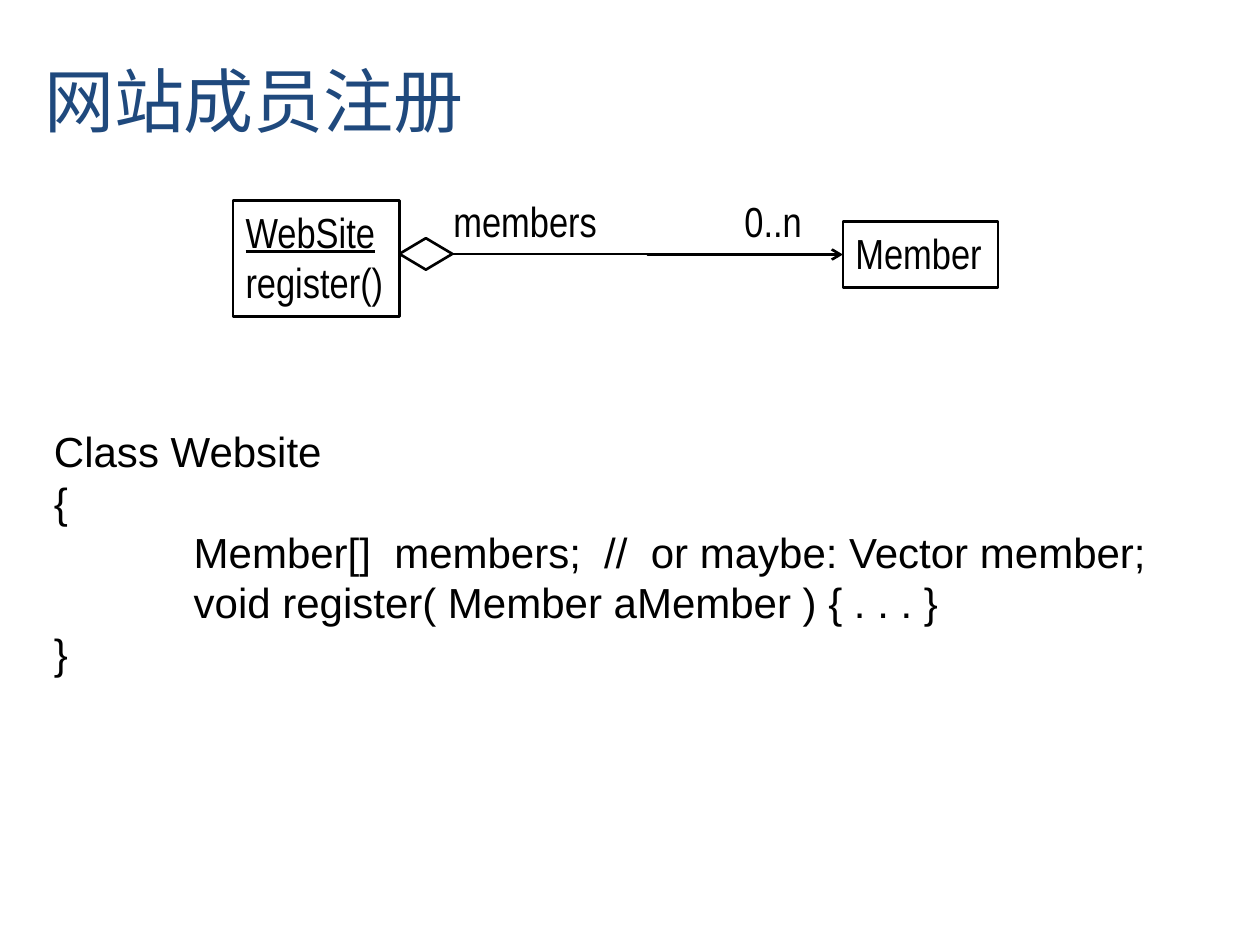
from lxml import etree
from pptx import Presentation
from pptx.dml.color import RGBColor
from pptx.enum.shapes import MSO_CONNECTOR, MSO_SHAPE
from pptx.enum.text import MSO_ANCHOR, PP_ALIGN
from pptx.oxml.ns import qn
from pptx.util import Inches, Pt

RECT = MSO_SHAPE.RECTANGLE
DIAMOND = MSO_SHAPE.FLOWCHART_DECISION
ELBOW = MSO_CONNECTOR.ELBOW
TOP, BOTTOM = MSO_ANCHOR.TOP, MSO_ANCHOR.BOTTOM
LEFT = PP_ALIGN.LEFT
BLACK, NAVY = "000000", "1F497D"
NARROW, SANS = "Arial Narrow", "Arial"


def color(value):
    return RGBColor.from_string(value)


def add_run(p, text, size=24, font=SANS, fill=BLACK, underline=None):
    r = p.add_run()
    r.text = text
    r.font.size = Pt(size)
    r.font.name = font
    r.font.color.rgb = color(fill)
    r.font.underline = underline


def write_lines(tf, lines, font, wrap=False, underlined=()):
    tf.word_wrap = wrap
    tf.vertical_anchor = TOP
    for i, line in enumerate(lines):
        p = tf.paragraphs[0] if i == 0 else tf.add_paragraph()
        p.alignment = LEFT
        add_run(p, line, font=font, underline=line in underlined or None)


def add_outline(s, kind, x, y, w, h):
    sp = s.shapes.add_shape(kind, Inches(x), Inches(y), Inches(w), Inches(h))
    sp.shadow.inherit = False
    sp.fill.background()
    sp.line.color.rgb = color(BLACK)
    sp.line.width = Pt(1.5)
    return sp


def add_class_box(s, x, y, w, h, lines, underlined=()):
    sp = add_outline(s, RECT, x, y, w, h)
    write_lines(sp.text_frame, lines, NARROW, underlined=underlined)
    return sp


def add_text(s, x, y, w, h, lines, font, wrap=False):
    sp = s.shapes.add_textbox(Inches(x), Inches(y), Inches(w), Inches(h))
    write_lines(sp.text_frame, lines, font, wrap)


def add_arrow(s, start, end):
    cxn = s.shapes.add_connector(ELBOW, 0, 0, 0, 0)
    cxn.begin_connect(start, 3)
    cxn.end_connect(end, 1)
    cxn.line.color.rgb = color(BLACK)
    cxn.line.width = Pt(1.5)
    etree.SubElement(cxn.line._get_or_add_ln(), qn("a:tailEnd"), type="arrow")
    etree.SubElement(cxn._element.spPr, qn("a:effectLst"))


def add_title(s, x, y, w, h, text):
    sp = s.shapes.title
    sp.left, sp.top, sp.width, sp.height = map(Inches, (x, y, w, h))
    tf = sp.text_frame
    tf.word_wrap = True
    tf.vertical_anchor = BOTTOM
    p = tf.paragraphs[0]
    p.alignment = LEFT
    add_run(p, text, 40, SANS, NAVY)


def add_diagram(s, x, y, w):
    site_w, member_w = 1.32, 1.23
    site = add_class_box(s, x, y + 0.09, site_w, 0.92,
                         ["WebSite", "register()"], ["WebSite"])
    diamond = add_outline(s, DIAMOND, x + site_w, y + 0.39, 0.42, 0.25)
    member = add_class_box(s, x + w - member_w, y + 0.26, member_w, 0.52,
                           ["Member"])
    add_arrow(s, diamond, member)
    add_text(s, x + 3.96, y, 0.66, 0.5, ["0..n"], NARROW)
    add_text(s, x + 1.65, y, 1.34, 0.5, ["members"], NARROW)


def add_code(s, x, y, w, h):
    add_text(s, x, y, w, h, [
        "Class Website",
        "{",
        "            Member[]  members;  //  or maybe: Vector member;",
        "            void register( Member aMember ) { . . . }",
        "}",
    ], SANS, wrap=True)


def main():
    prs = Presentation()
    prs.slide_width, prs.slide_height = Inches(10), Inches(7.5)
    s = prs.slides.add_slide(prs.slide_layouts[5])
    add_title(s, 0.25, 0.42, 9.5, 0.75, "网站成员注册")
    add_diagram(s, 1.85, 1.5, 6.07)
    add_code(s, 0.33, 3.33, 9.08, 3.49)
    prs.save("out.pptx")


if __name__ == "__main__":
    main()
